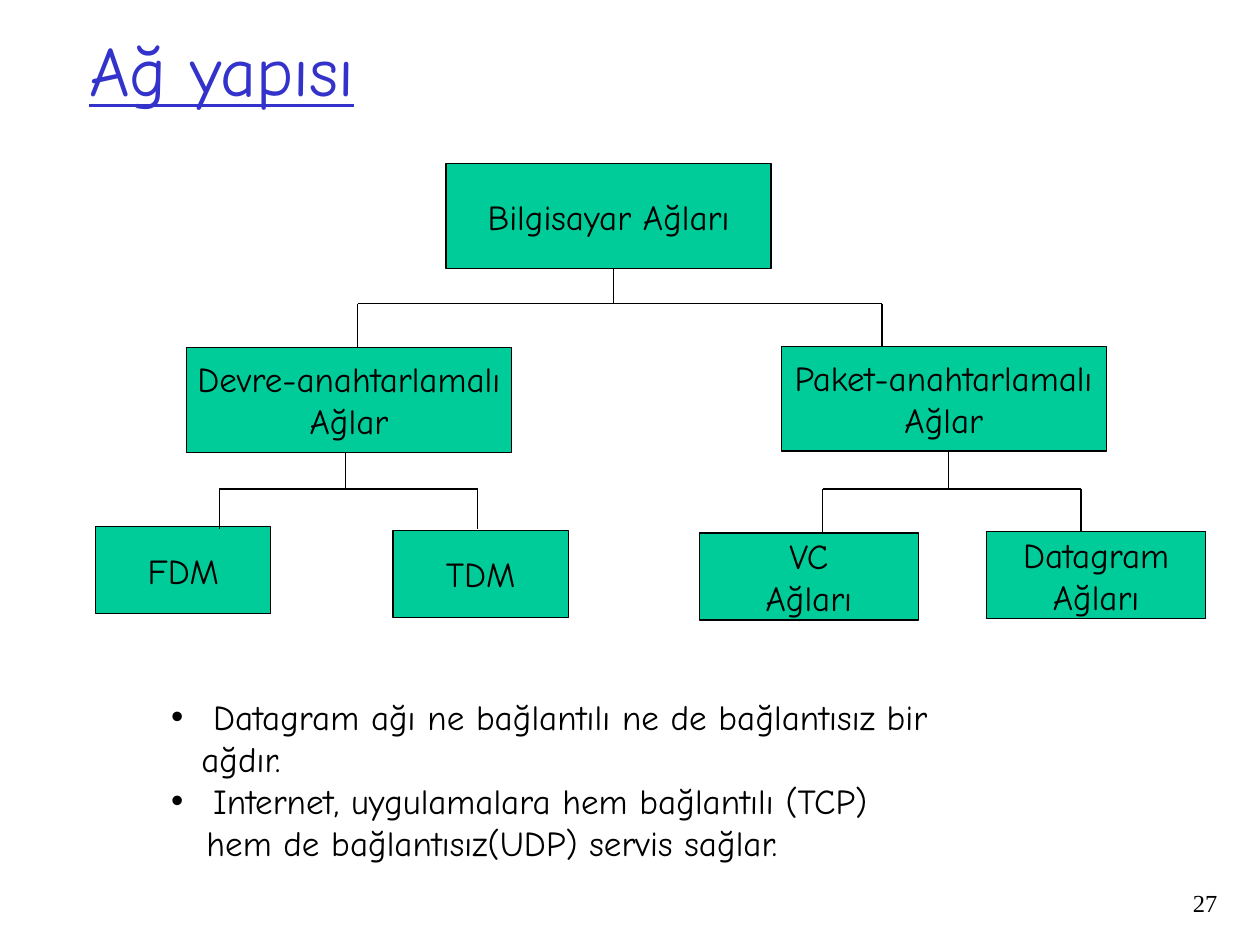
from dataclasses import dataclass

from lxml import etree
from pptx import Presentation
from pptx.dml.color import RGBColor
from pptx.enum.shapes import MSO_CONNECTOR, MSO_SHAPE
from pptx.enum.text import MSO_ANCHOR, PP_ALIGN
from pptx.oxml.ns import qn
from pptx.util import Inches, Pt

RECTANGLE = MSO_SHAPE.RECTANGLE
STRAIGHT = MSO_CONNECTOR.STRAIGHT
TOP, MIDDLE = MSO_ANCHOR.TOP, MSO_ANCHOR.MIDDLE
LEFT, CENTER, RIGHT = PP_ALIGN.LEFT, PP_ALIGN.CENTER, PP_ALIGN.RIGHT

# The slide is a grid of square cells
COLUMNS, ROWS = 100, 75
CELL = Inches(0.1)


@dataclass(frozen=True)
class Theme:
    ink: RGBColor = RGBColor(0x00, 0x00, 0x00)
    node_fill: RGBColor = RGBColor(0x00, 0xCC, 0x99)
    heading: RGBColor = RGBColor(0x33, 0x33, 0xCC)
    font: str = "Comic Neue"
    number_font: str = "Times New Roman"
    title_size: int = 40
    body_size: int = 20
    number_size: int = 14
    line_width: float = 0.75


THEME = Theme()

# Tree nodes: label, left column, top row, columns wide, rows high
NODES = [
    ("Bilgisayar Ağları", 35.4, 13, 25.8, 8.3),
    ("Devre-anahtarlamalı\nAğlar", 14.8, 27.6, 25.8, 8.3),
    ("Paket-anahtarlamalı\nAğlar", 62, 27.5, 25.8, 8.3),
    ("FDM", 7.6, 41.8, 13.9, 6.9),
    ("TDM", 31.2, 42.1, 13.9, 6.9),
    ("VC\nAğları", 55.5, 42.3, 17.4, 6.9),
    ("Datagram\nAğları", 78.3, 42.2, 17.4, 6.9),
]

# Branches: stem column, left and right columns, stem top, bar and bottom rows
BRANCHES = [
    (48.7, 28.4, 70, 21.3, 24.1, 27.5),
    (27.4, 17.4, 37.9, 35.9, 38.8, 42),
    (75.3, 65.3, 85.8, 35.9, 38.8, 42.2),
]

# Notes: text, whether bulleted, left margin in columns
NOTES = [
    (" Datagram ağı ne bağlantılı ne de bağlantısız bir ağdır.", True, 2.4),
    (" Internet, uygulamalara hem bağlantılı (TCP)", True, 2.4),
    ("hem de bağlantısız(UDP) servis sağlar.", False, 2.8),
]


def cells(*counts):
    return [round(count * CELL) for count in counts]


def style_para(para, size, color=THEME.ink, font=THEME.font, align=LEFT):
    para.alignment = align
    for span in para.runs:
        span.font.name = font
        span.font.size = Pt(size)
        span.font.color.rgb = color


def add_text(slide, text, place, anchor=TOP, **style):
    box = slide.shapes.add_textbox(*cells(*place))
    frame = box.text_frame
    frame.word_wrap = True
    frame.vertical_anchor = anchor
    frame.text = text
    for para in frame.paragraphs:
        style_para(para, **style)
    return frame


def add_node(slide, label, *place):
    box = slide.shapes.add_shape(RECTANGLE, *cells(*place))
    box.shadow.inherit = False
    box.fill.solid()
    box.fill.fore_color.rgb = THEME.node_fill
    box.line.color.rgb = THEME.ink
    box.line.width = Pt(THEME.line_width)
    frame = box.text_frame
    frame.word_wrap = False
    frame.vertical_anchor = MIDDLE
    frame.text = label
    for para in frame.paragraphs:
        style_para(para, THEME.body_size, align=CENTER)


def add_line(slide, *ends):
    line = slide.shapes.add_connector(STRAIGHT, *cells(*ends))
    line.line.color.rgb = THEME.ink
    line.line.width = Pt(THEME.line_width)
    etree.SubElement(line._element.spPr, qn("a:effectLst"))


def add_branch(slide, stem, left, right, top, bar, bottom):
    add_line(slide, stem, top, stem, bar)
    add_line(slide, left, bar, right, bar)
    for column in (left, right):
        add_line(slide, column, bar, column, bottom)


def indent_para(para, margin, bulleted):
    properties = para._p.get_or_add_pPr()
    width = cells(margin)[0]
    properties.set("marL", str(width))
    properties.set("indent", str(-width if bulleted else 0))
    if bulleted:
        color = etree.SubElement(properties, qn("a:buClr"))
        etree.SubElement(color, qn("a:srgbClr"), val=str(THEME.ink))
        etree.SubElement(properties, qn("a:buFont"), typeface="Arial")
        etree.SubElement(properties, qn("a:buChar"), char="•")


def add_notes_list(slide, place):
    text = "\n".join(note[0] for note in NOTES)
    frame = add_text(slide, text, place, size=THEME.body_size)
    for para, (_, bulleted, margin) in zip(frame.paragraphs, NOTES):
        indent_para(para, margin, bulleted)


def main():
    deck = Presentation()
    deck.slide_width, deck.slide_height = cells(COLUMNS, ROWS)
    page = deck.slides.add_slide(deck.slide_layouts[6])

    # Title
    title = add_text(page, "Ağ yapısı", (6.1, 0, 85, 10.9), MIDDLE,
                     size=THEME.title_size, color=THEME.heading)
    title.paragraphs[0].runs[0].font.underline = True

    # Network tree
    for node in NODES:
        add_node(page, *node)
    for branch in BRANCHES:
        add_branch(page, *branch)

    # Remarks and page number
    add_notes_list(page, (12.6, 54.7, 68.1, 14.3))
    add_text(page, "27", (90.8, 70, 6.8, 5), size=THEME.number_size,
             font=THEME.number_font, align=RIGHT)

    deck.save("out.pptx")


if __name__ == "__main__":
    main()
